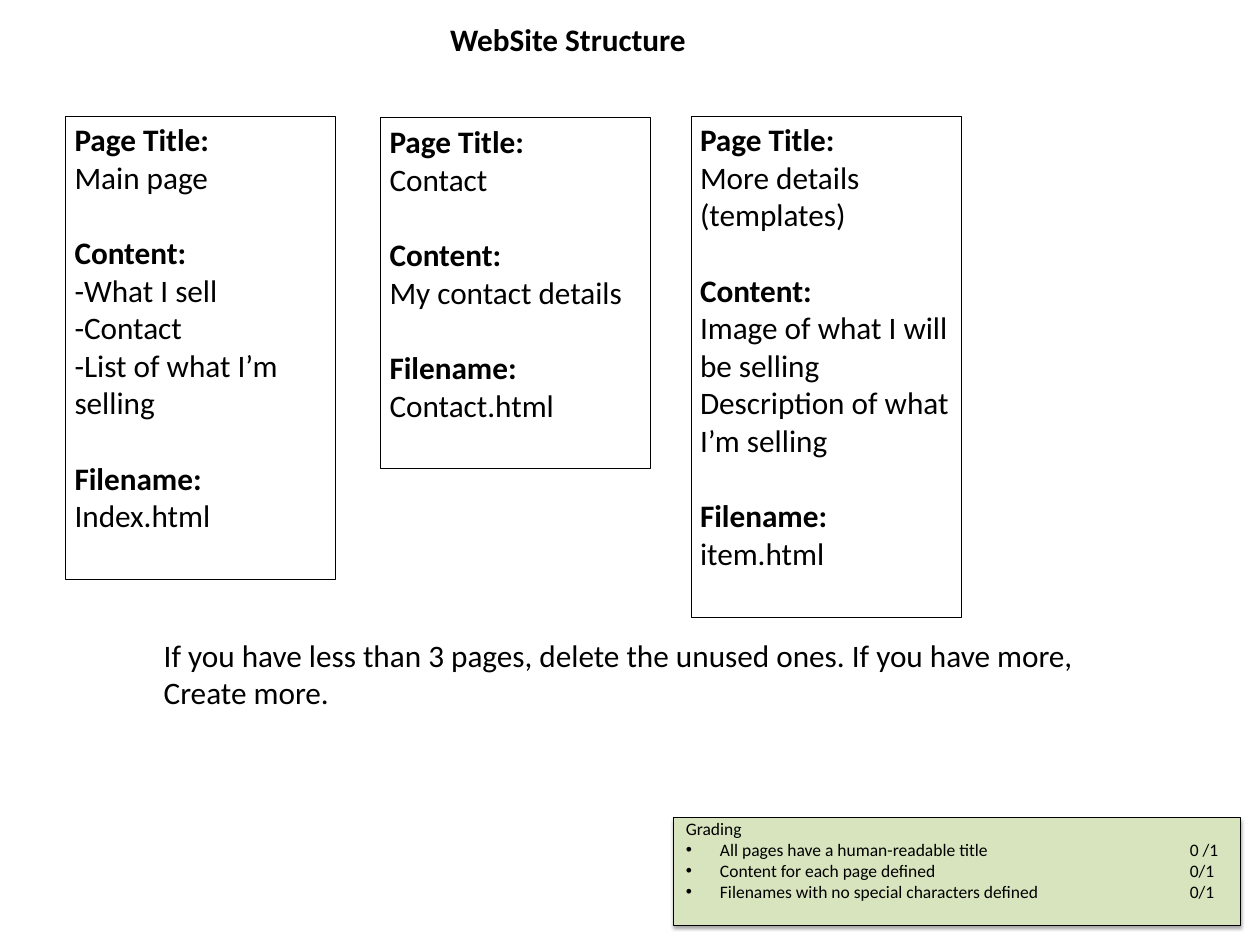
import pptx
import pptx.util
import pptx.dml.color
import pptx.enum.shapes
import pptx.enum.text
import pptx.oxml
import pptx.oxml.ns
from lxml import etree

Inches = pptx.util.Inches
Pt = pptx.util.Pt
qn = pptx.oxml.ns.qn
HEADS = ("Page Title:", "Content:", "Filename:")


def tint(code):
    return pptx.dml.color.RGBColor.from_string(code)


class Deck:
    font = "Calibri"
    ink = "000000"
    size = 25
    small = 14
    gap = 30.5

    def __init__(self, wide, high):
        self.file = pptx.Presentation()
        self.file.slide_width = Inches(wide)
        self.file.slide_height = Inches(high)
        self.slide = self.file.slides.add_slide(self.file.slide_layouts[5])

    def label(self, shape, lines, size, pad=(0.1, 0.05), bold=()):
        frame = shape.text_frame
        frame.text = "\n".join(lines)
        frame.word_wrap = True
        frame.auto_size = pptx.enum.text.MSO_AUTO_SIZE.NONE
        frame.vertical_anchor = pptx.enum.text.MSO_ANCHOR.TOP
        frame.margin_left = frame.margin_right = Inches(pad[0])
        frame.margin_top = frame.margin_bottom = Inches(pad[1])
        for para in frame.paragraphs:
            para.alignment = pptx.enum.text.PP_ALIGN.LEFT
            for run in para.runs:
                run.font.name = self.font
                run.font.size = Pt(size)
                run.font.bold = run.text in bold
                run.font.color.rgb = tint(self.ink)
        return frame.paragraphs

    def title(self, text, left, top, wide, high):
        shape = self.slide.shapes.title
        shape.left, shape.top = Inches(left), Inches(top)
        shape.width, shape.height = Inches(wide), Inches(high)
        self.label(shape, [text], self.size, (0.14, 0.07), (text,))

    def box(self, left, top, wide, high, fill=None):
        shape = self.slide.shapes.add_shape(
            pptx.enum.shapes.MSO_SHAPE.RECTANGLE,
            Inches(left), Inches(top), Inches(wide), Inches(high))
        if fill:
            shape.fill.solid()
            shape.fill.fore_color.rgb = tint(fill)
        else:
            shape.fill.background()
        shape.line.color.rgb = tint(self.ink)
        shape.line.width = Pt(0.75)
        shape.shadow.inherit = False
        return shape

    def page(self, left, top, high, parts):
        shape = self.box(left, top, 3, high)
        lines = [line for head, part in zip(HEADS, parts)
                 for line in (head, *part)]
        for para in self.label(shape, lines, self.size, bold=HEADS):
            if para.text in HEADS[1:]:
                para.space_before = Pt(self.gap)

    def note(self, lines, left, top, wide, high):
        shape = self.slide.shapes.add_textbox(
            Inches(left), Inches(top), Inches(wide), Inches(high))
        self.label(shape, lines, self.size)

    def shade(self, shape):
        node = shape._element.spPr.find(qn("a:effectLst"))
        drop = etree.SubElement(
            node, qn("a:outerShdw"), blurRad=str(Pt(3.1)),
            dist=str(Pt(1.8)), dir="5400000", rotWithShape="0")
        color = etree.SubElement(drop, qn("a:srgbClr"), val=self.ink)
        etree.SubElement(color, qn("a:alpha"), val="35000")

    def grades(self, head, marks, left, top, wide, high):
        shape = self.box(left, top, wide, high, "D7E4BD")
        self.shade(shape)
        lines = [head] + [f"{goal}\t{mark}" for goal, mark in marks]
        paras = self.label(shape, lines, self.small, (0.14, 0.01))
        for para in paras[1:]:
            props = para._p.get_or_add_pPr()
            props.set("marL", str(Inches(0.38)))
            props.set("indent", str(-Inches(0.38)))
            etree.SubElement(props, qn("a:buFont"), typeface="Arial")
            etree.SubElement(props, qn("a:buChar"), char="•")
            tabs = etree.SubElement(props, qn("a:tabLst"))
            etree.SubElement(tabs, qn("a:tab"),
                             pos=str(Inches(5.6)), algn="l")


def main():
    deck = Deck(14, 10.5)
    deck.title("WebSite Structure", 4.86, 0.15, 5.42, 0.57)
    deck.grades("Grading", [
        ("All pages have a human-readable title", "0 /1"),
        ("Content for each page defined", "0/1"),
        ("Filenames with no special characters defined", "0/1"),
    ], 7.48, 9.08, 6.3, 1.2)
    pages = [
        (0.73, 1.29, 5.15, (
            ["Main page"],
            ["-What I sell", "-Contact", "-List of what I’m selling"],
            ["Index.html"])),
        (4.23, 1.31, 3.89, (
            ["Contact"], ["My contact details"], ["Contact.html"])),
        (7.68, 1.29, 5.57, (
            ["More details (templates)"],
            ["Image of what I will be selling",
             "Description of what I’m selling"],
            ["item.html"])),
    ]
    for page in pages:
        deck.page(*page)
    deck.note([
        "If you have less than 3 pages, delete the unused ones. "
        "If you have more,",
        "Create more.",
    ], 1.72, 7.02, 10.45, 0.94)
    deck.file.save("out.pptx")


if __name__ == "__main__":
    main()
